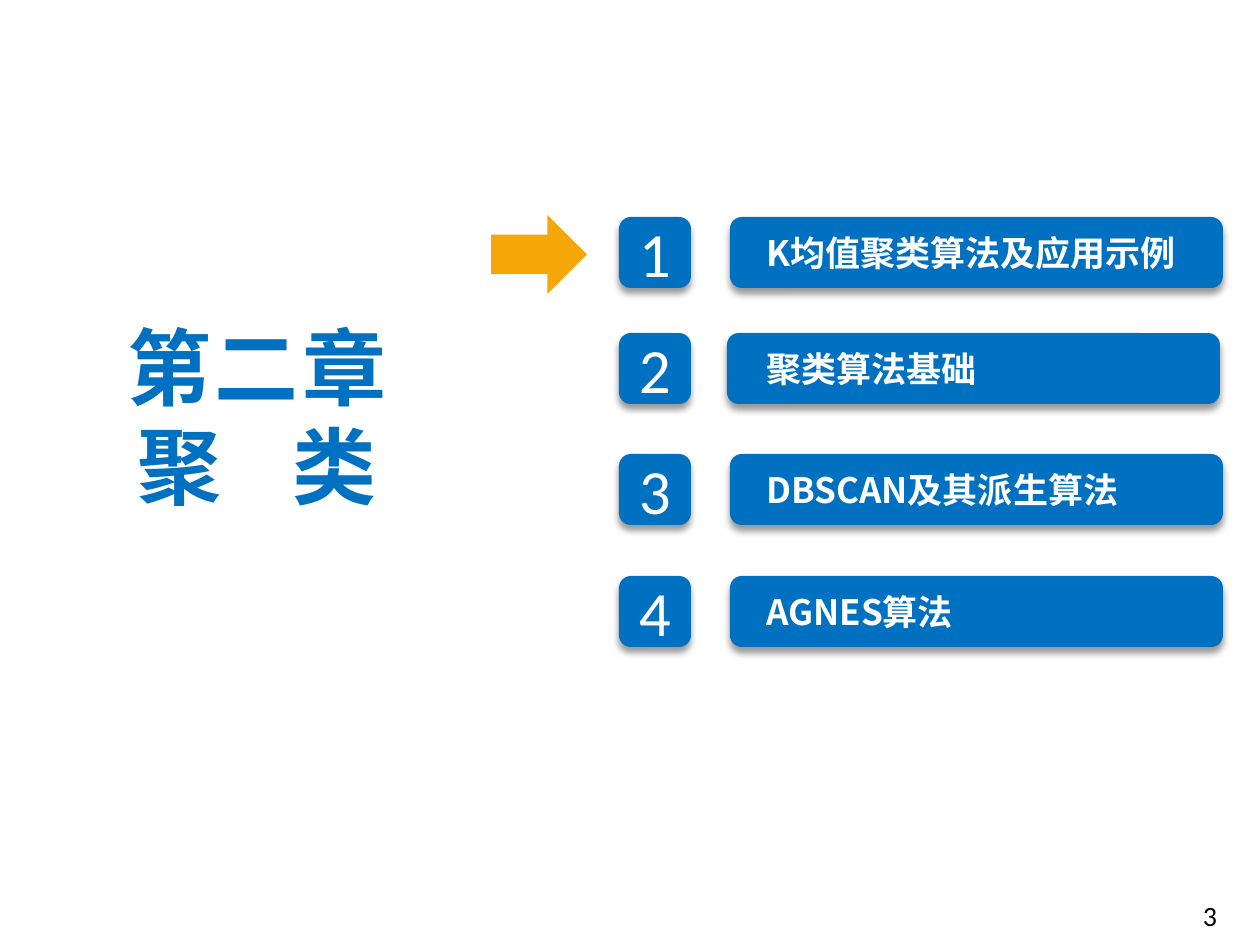
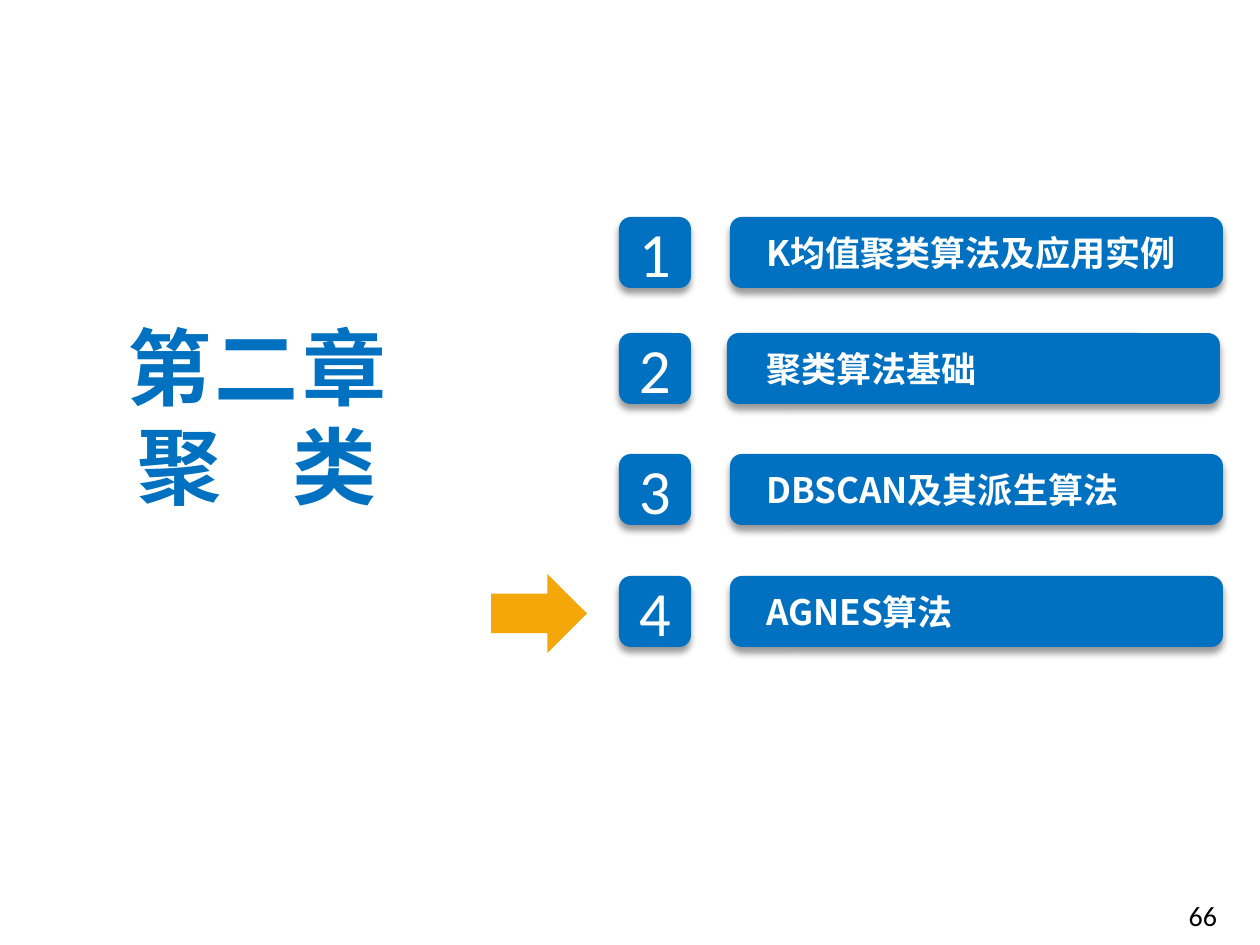
from lxml import etree
from pptx import Presentation
from pptx.dml.color import RGBColor
from pptx.enum.shapes import MSO_SHAPE
from pptx.enum.text import MSO_ANCHOR, MSO_AUTO_SIZE, PP_ALIGN
from pptx.oxml.ns import qn
from pptx.util import Emu, Pt

ROUNDED = MSO_SHAPE.ROUNDED_RECTANGLE
RIGHT_ARROW = MSO_SHAPE.RIGHT_ARROW
MIDDLE = MSO_ANCHOR.MIDDLE
NO_FIT = MSO_AUTO_SIZE.NONE
LEFT, CENTER, RIGHT = PP_ALIGN.LEFT, PP_ALIGN.CENTER, PP_ALIGN.RIGHT

BLUE = RGBColor(0x00, 0x70, 0xC0)
ORANGE = RGBColor(0xF5, 0xA6, 0x09)
WHITE = RGBColor(0xFF, 0xFF, 0xFF)
BLACK = RGBColor(0x00, 0x00, 0x00)
LATIN_FONT = "Calibri"
CHINESE_FONT = "Noto Sans CJK SC"

PX_PER_INCH = 126
SLIDE_SIZE = (1260, 945)
TITLE_ONLY = 5
ROW_TOPS = (217, 333, 454, 576)
BAR_LEFTS = (730, 727, 730, 730)
ROW_HEIGHT = 71
SHARED_TOPICS = ("聚类算法基础", "DBSCAN及其派生算法", "AGNES算法")


def px(length):
    """Turn pixels into EMU."""
    return Emu(round(length * 914400 / PX_PER_INCH))


def add_run(paragraph, text, size, color, font=LATIN_FONT, bold=False, spacing=0):
    """Add one formatted run, with letter spacing in points."""
    run = paragraph.add_run()
    run.text = text
    run.font.size = Pt(size)
    run.font.bold = bold
    run.font.color.rgb = color
    run.font.name = font
    properties = run._r.get_or_add_rPr()
    etree.SubElement(properties, qn("a:ea"), typeface=font)
    if spacing:
        properties.set("spc", str(round(spacing * 100)))


def set_frame(shape, horizontal=16, vertical=9):
    """Set wrapping, insets and middle anchoring, and return the text frame."""
    frame = shape.text_frame
    frame.word_wrap = True
    frame.auto_size = NO_FIT
    frame.vertical_anchor = MIDDLE
    frame.margin_left = frame.margin_right = px(horizontal)
    frame.margin_top = frame.margin_bottom = px(vertical)
    return frame


def add_block(shapes, kind, box, color):
    """Add a filled preset shape without outline or shadow."""
    shape = shapes.add_shape(kind, *map(px, box))
    shape.shadow.inherit = False
    shape.fill.solid()
    shape.fill.fore_color.rgb = color
    shape.line.fill.background()
    return shape


def add_raised_block(shapes, box):
    """Add a blue rounded block with a soft shadow below."""
    shape = add_block(shapes, ROUNDED, box, BLUE)
    effects = shape._element.spPr.find(qn("a:effectLst"))
    shadow = etree.SubElement(effects, qn("a:outerShdw"), blurRad=str(Pt(4)),
                              dist=str(Pt(3)), dir="5400000", rotWithShape="0")
    color = etree.SubElement(shadow, qn("a:srgbClr"), val=str(BLACK))
    etree.SubElement(color, qn("a:alpha"), val="40000")
    return shape


def add_label(shapes, box, text, size, color, align, font=LATIN_FONT, bold=False):
    """Add a one-line text box."""
    paragraph = set_frame(shapes.add_textbox(*map(px, box))).paragraphs[0]
    paragraph.alignment = align
    add_run(paragraph, text, size, color, font, bold)


def add_topic(slide, number, topic):
    """Add the numbered badge and the topic bar of one row."""
    top, bar_left = ROW_TOPS[number - 1], BAR_LEFTS[number - 1]
    badge = add_raised_block(slide.shapes, (619, top, 72, ROW_HEIGHT))
    paragraph = set_frame(badge).paragraphs[0]
    paragraph.alignment = CENTER
    add_run(paragraph, str(number), 36, WHITE)
    group = slide.shapes.add_group_shape()
    add_raised_block(group.shapes, (bar_left, top, 493, ROW_HEIGHT))
    add_label(group.shapes, (750, top + 6, 460, 59), topic, 20, WHITE, LEFT,
              CHINESE_FONT, True)


def set_chapter_title(slide):
    """Write the two-line chapter title into the title placeholder."""
    title = slide.shapes.title
    title.left, title.top, title.width, title.height = map(px, (0, 306, 514, 220))
    frame = set_frame(title)
    lines = ((("第二章", 2),), (("聚", 2), (" ", 28), ("类", 2)))
    for index, line in enumerate(lines):
        paragraph = frame.add_paragraph() if index else frame.paragraphs[0]
        paragraph.alignment = CENTER
        paragraph.line_spacing = Pt(57)
        for text, spacing in line:
            add_run(paragraph, text, 48, BLUE, CHINESE_FONT, True, spacing)


def add_agenda_slide(presentation, first_topic, current, page):
    """Add a chapter agenda whose arrow points at the current topic."""
    slide = presentation.slides.add_slide(presentation.slide_layouts[TITLE_ONLY])
    set_chapter_title(slide)
    for number, topic in enumerate((first_topic, *SHARED_TOPICS), 1):
        add_topic(slide, number, topic)
    arrow_top = ROW_TOPS[current - 1] - 2
    add_block(slide.shapes, RIGHT_ARROW, (491, arrow_top, 96, 79), ORANGE)
    add_label(slide.shapes, (939, 891, 294, 48), str(page), 16, BLACK, RIGHT)


def main():
    """Build both agenda slides and save them."""
    presentation = Presentation()
    presentation.slide_width, presentation.slide_height = map(px, SLIDE_SIZE)
    add_agenda_slide(presentation, "K均值聚类算法及应用示例", 1, 3)
    add_agenda_slide(presentation, "K均值聚类算法及应用实例", 4, 66)
    presentation.save("out.pptx")


if __name__ == "__main__":
    main()
